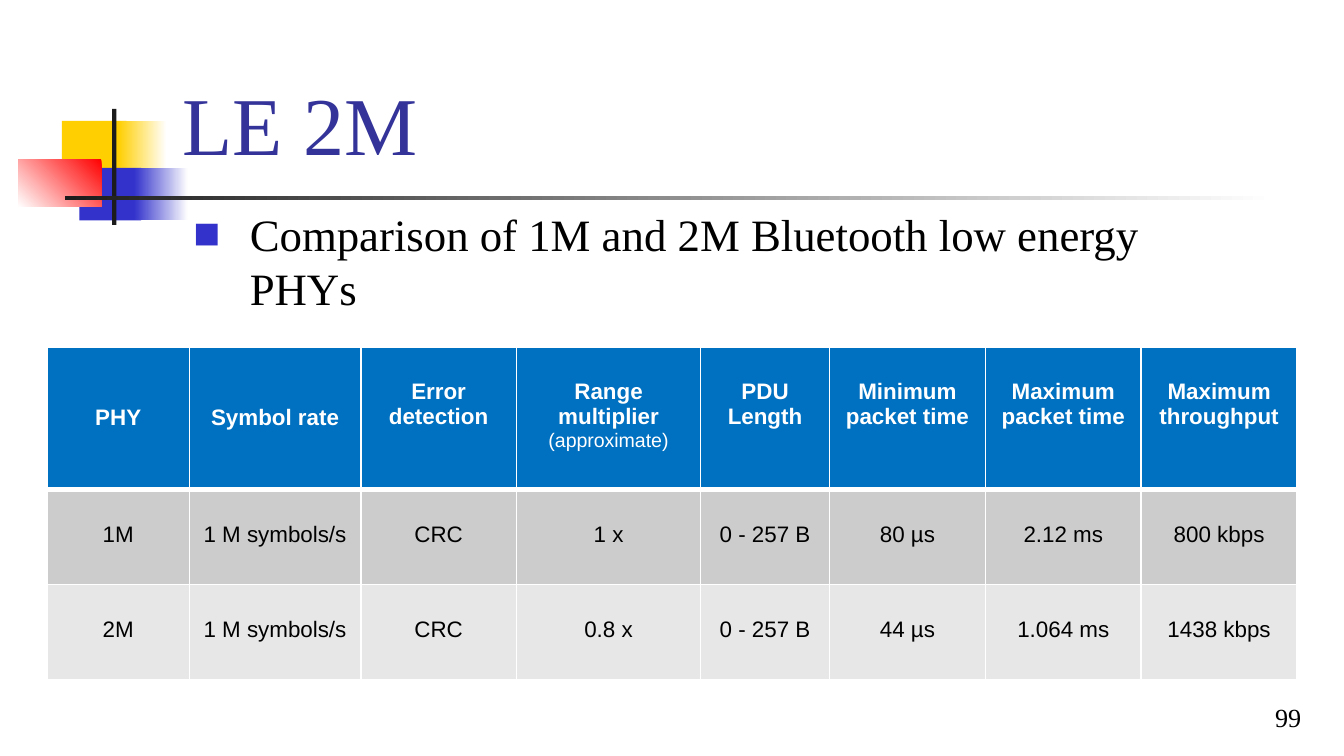
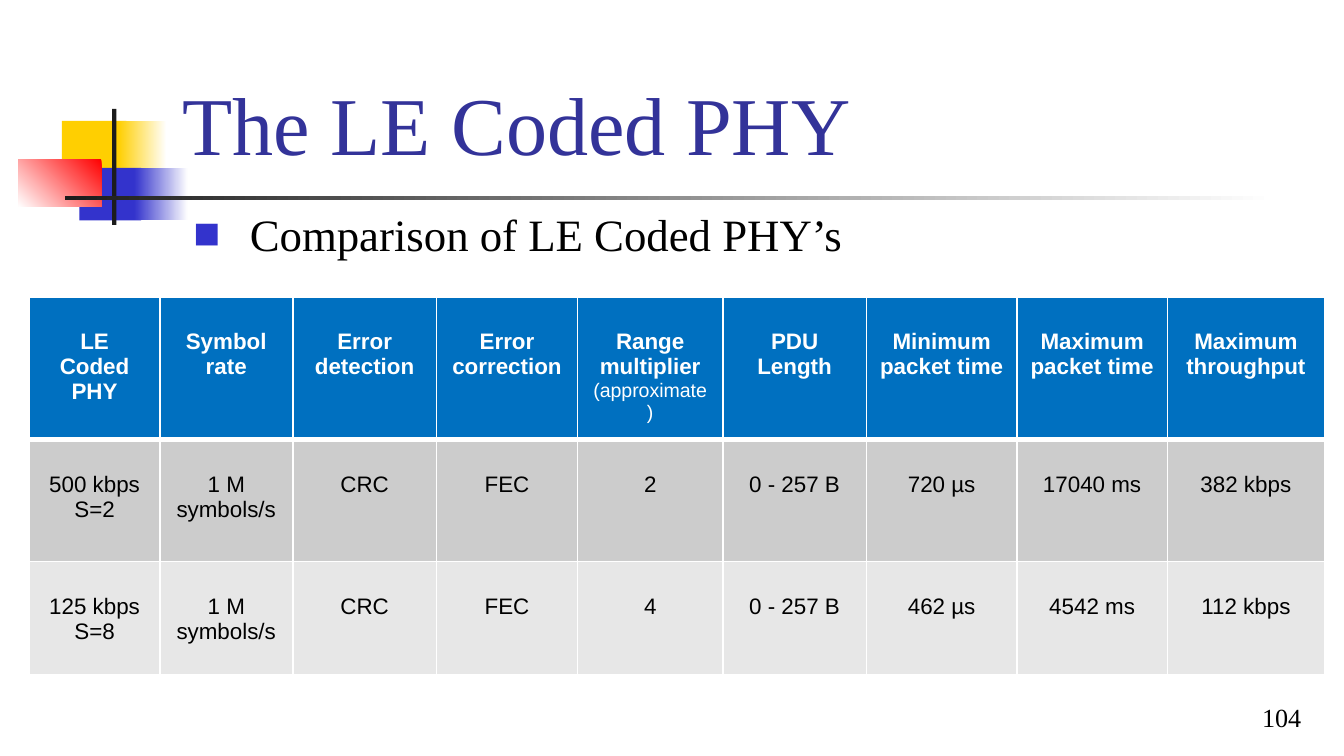
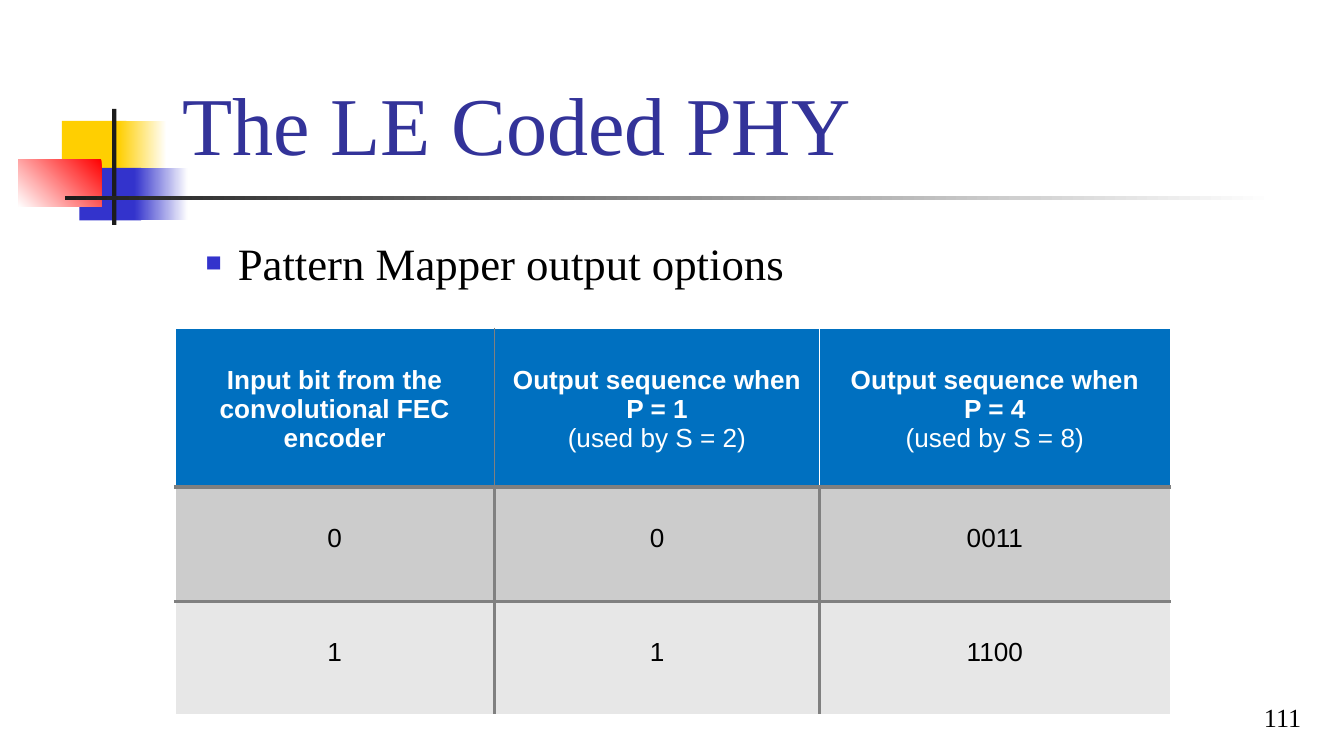
"""Build three slides that compare the Bluetooth LE radio layers."""
import pptx
import pptx.dml.color
import pptx.enum.shapes
import pptx.enum.text
import pptx.oxml
import pptx.oxml.ns
import pptx.util

Pt = pptx.util.Pt
RGB = pptx.dml.color.RGBColor
ALIGN = pptx.enum.text.PP_ALIGN
ANCHOR = pptx.enum.text.MSO_ANCHOR
RECT = pptx.enum.shapes.MSO_SHAPE.RECTANGLE

WHITE = RGB(0xFF, 0xFF, 0xFF)
BLACK = RGB(0x00, 0x00, 0x00)
YELLOW = RGB(0xFF, 0xCF, 0x01)
BLUE = RGB(0x33, 0x33, 0xCC)
RED = RGB(0xFF, 0x00, 0x00)
INK = RGB(0x1C, 0x1C, 0x1C)
NAVY = RGB(0x33, 0x33, 0x99)
HEADER = RGB(0x00, 0x70, 0xC0)
GRAY = RGB(0x80, 0x80, 0x80)
BANDS = (RGB(0xCC, 0xCC, 0xCC), RGB(0xE7, 0xE7, 0xE7))

SERIF, SANS = "Times New Roman", "Arial"
CELL_INSET = 3.6
LINE_HEIGHT = 1.15
THIN = (WHITE, 1)

ORNAMENT = [
    ((33.1, 64.8, 34.6, 28.1), YELLOW, None, 0),
    ((63.4, 64.8, 25.9, 28.1), WHITE, YELLOW, 180),
    ((42.5, 90, 33.1, 28.1), BLUE, None, 0),
    ((72, 90, 28.8, 28.1), WHITE, BLUE, 180),
    ((9.8, 85.3, 44.6, 25.4), RED, WHITE, 225),
    ((60, 58.3, 2.4, 62.2), INK, None, 0),
    ((34.8, 105, 648, 2.2), WHITE, INK, 180),
]
TITLE_BOX = (90.7, 13, 613.4, 86.4)
NUMBER_BOX = (554.4, 368.6, 149.8, 27.4)
WIDE_BULLET = {"box": (90.7, 103.7, 575.3, 243.4), "left": 36, "hang": 30.2,
               "before": 0, "size": 100}
SMALL_BULLET = {"box": (92.9, 118.8, 591.8, 243.4), "left": 27.4, "hang": 17.3,
                "before": 6.4, "size": 60}
WHITE_GRID = {"rule": (WHITE, 3), "grid": THIN, "dividers": [THIN] * 8}
GRAY_GRID = {"rule": (GRAY, 2.25), "grid": (GRAY, 2.25),
             "dividers": [(GRAY, 1), THIN]}

SLIDES = [
    {
        "title": "LE 2M", "number": "99",
        "body": "Comparison of 1M and 2M Bluetooth low energy PHYs",
        "bullet": WIDE_BULLET, "lines": WHITE_GRID,
        "at": (25.2, 185.8), "size": 12, "note": 10.5, "low_headers": 2,
        "cols": [76.3, 91.8, 83.5, 98.6, 69.1, 83.5, 83.5, 83.5],
        "rows": [76.3, 51.1, 51.1],
        "cells": [
            ["PHY", "Symbol rate", "Error detection",
             "Range multiplier\n(approximate)", "PDU Length",
             "Minimum packet time", "Maximum packet time", "Maximum throughput"],
            ["1M", "1 M symbols/s", "CRC", "1 x", "0 - 257 B", "80 µs",
             "2.12 ms", "800 kbps"],
            ["2M", "1 M symbols/s", "CRC", "0.8 x", "0 - 257 B", "44 µs",
             "1.064 ms", "1438 kbps"],
        ],
    },
    {
        "title": "The LE Coded PHY", "number": "104",
        "body": "Comparison of LE Coded PHY’s",
        "bullet": WIDE_BULLET, "lines": WHITE_GRID,
        "at": (15.8, 159.1), "size": 12, "note": 10.5, "low_headers": 0,
        "cols": [69.8, 71.3, 77, 75.6, 77.8, 77, 80.6, 80.6, 84.2],
        "rows": [76.3, 65.5, 60.5],
        "cells": [
            ["LE\nCoded\nPHY", "Symbol rate", "Error detection",
             "Error\ncorrection", "Range multiplier\n(approximate)",
             "PDU Length", "Minimum packet time", "Maximum packet time",
             "Maximum throughput"],
            ["500 kbps S=2", "1 M symbols/s", "CRC", "FEC", "2", "0 - 257 B",
             "720 µs", "17040 ms", "382 kbps"],
            ["125 kbps S=8", "1 M symbols/s", "CRC", "FEC", "4", "0 - 257 B",
             "462 µs", "4542 ms", "112 kbps"],
        ],
    },
    {
        "title": "The LE Coded PHY", "number": "111",
        "body": "Pattern Mapper output options",
        "bullet": SMALL_BULLET, "lines": GRAY_GRID,
        "at": (93.6, 176), "size": 14, "note": 14, "low_headers": 0,
        "cols": [171.4, 174, 188],
        "rows": [85, 61.2, 60.5],
        "cells": [
            ["Input bit from the convolutional FEC encoder",
             "Output sequence when\nP = 1\n(used by S = 2)",
             "Output sequence when\nP = 4\n(used by S = 8)"],
            ["0", "0", "0011"],
            ["1", "1", "1100"],
        ],
    },
]


def style_font(font, name, size, color, bold=False):
    font.name, font.size, font.bold = name, Pt(size), bold
    font.color.rgb = color


def add_ornament(slide):
    for box, color, end_color, angle in ORNAMENT:
        sp = slide.shapes.add_shape(RECT, *map(Pt, box))
        sp.shadow.inherit = False
        sp.line.fill.background()
        if end_color is None:
            sp.fill.solid()
            sp.fill.fore_color.rgb = color
        else:
            sp.fill.gradient()
            sp.fill.gradient_angle = angle
            for stop, stop_color, position in zip(
                    sp.fill.gradient_stops, (color, end_color), (0, 1)):
                stop.color.rgb = stop_color
                stop.position = position


def add_text(slide, box, text, size, color, anchor, inset=7.2, align=ALIGN.LEFT):
    tf = slide.shapes.add_textbox(*map(Pt, box)).text_frame
    tf.word_wrap = True
    tf.vertical_anchor = anchor
    tf.margin_left = tf.margin_right = Pt(7.2)
    tf.margin_top = tf.margin_bottom = Pt(inset)
    tf.text = text
    p = tf.paragraphs[0]
    p.alignment = align
    style_font(p.runs[0].font, SERIF, size, color)
    return p


def add_xml(parent, xml):
    ns = pptx.oxml.ns.nsdecls("a")
    parent.append(pptx.oxml.parse_xml(xml.replace(" ", f" {ns} ", 1)))


def set_bullet(p, bullet):
    p.space_before = Pt(bullet["before"])
    pPr = p._p.get_or_add_pPr()
    pPr.set("marL", str(Pt(bullet["left"])))
    pPr.set("indent", str(-Pt(bullet["hang"])))
    add_xml(pPr, f'<a:buClr ><a:srgbClr val="{BLUE}"/></a:buClr>')
    add_xml(pPr, f'<a:buSzPct val="{bullet["size"] * 1000}"/>')
    add_xml(pPr, f'<a:buFont typeface="{SERIF}"/>')
    add_xml(pPr, '<a:buChar char="■"/>')


def set_borders(cell, edges):
    tcPr = cell._tc.get_or_add_tcPr()
    for i, (side, (color, width)) in enumerate(edges.items()):
        xml = (f'<a:ln{side} w="{Pt(width)}"><a:solidFill>'
               f'<a:srgbClr val="{color}"/></a:solidFill></a:ln{side}>')
        ns = pptx.oxml.ns.nsdecls("a")
        tcPr.insert(i, pptx.oxml.parse_xml(xml.replace(" ", f" {ns} ", 1)))


def fill_cell(cell, text, row, col, data):
    header = row == 0
    blank_lines = 2 if header and col < data["low_headers"] else 1
    cell.margin_top = Pt(CELL_INSET + blank_lines * data["size"] * LINE_HEIGHT)
    cell.margin_bottom = Pt(CELL_INSET)
    cell.fill.solid()
    cell.fill.fore_color.rgb = HEADER if header else BANDS[row - 1]
    cell.text = text
    for p in cell.text_frame.paragraphs:
        p.alignment = ALIGN.CENTER
        note = p.text.startswith("(")
        style_font(p.runs[0].font, SANS, data["note" if note else "size"],
                   WHITE if header else BLACK, header and not note)


def add_table(slide, data):
    cols, rows, lines = data["cols"], data["rows"], data["lines"]
    box = (*data["at"], sum(cols), sum(rows))
    table = slide.shapes.add_table(len(rows), len(cols), *map(Pt, box)).table
    for column, width in zip(table.columns, cols):
        column.width = Pt(width)
    for table_row, height in zip(table.rows, rows):
        table_row.height = Pt(height)

    grid = [lines["grid"]] * (len(cols) - 1)
    levels = [THIN, lines["rule"], *[lines["grid"]] * (len(rows) - 2), THIN]
    for row, texts in enumerate(data["cells"]):
        inner = grid if row else lines["dividers"][:len(cols) - 1]
        uprights = [THIN, *inner, THIN]
        for col, text in enumerate(texts):
            cell = table.cell(row, col)
            fill_cell(cell, text, row, col, data)
            set_borders(cell, {"L": uprights[col], "R": uprights[col + 1],
                               "T": levels[row], "B": levels[row + 1]})


def main():
    prs = pptx.Presentation()
    prs.slide_width, prs.slide_height = Pt(720), Pt(405)
    for data in SLIDES:
        slide = prs.slides.add_slide(prs.slide_layouts[6])
        add_ornament(slide)
        add_text(slide, TITLE_BOX, data["title"], 44, NAVY, ANCHOR.BOTTOM)
        add_text(slide, NUMBER_BOX, data["number"], 14, BLACK, ANCHOR.BOTTOM,
                 3.6, ALIGN.RIGHT)
        add_table(slide, data)
        p = add_text(slide, data["bullet"]["box"], data["body"], 24, BLACK,
                     ANCHOR.TOP)
        set_bullet(p, data["bullet"])
    prs.save("out.pptx")


if __name__ == "__main__":
    main()
